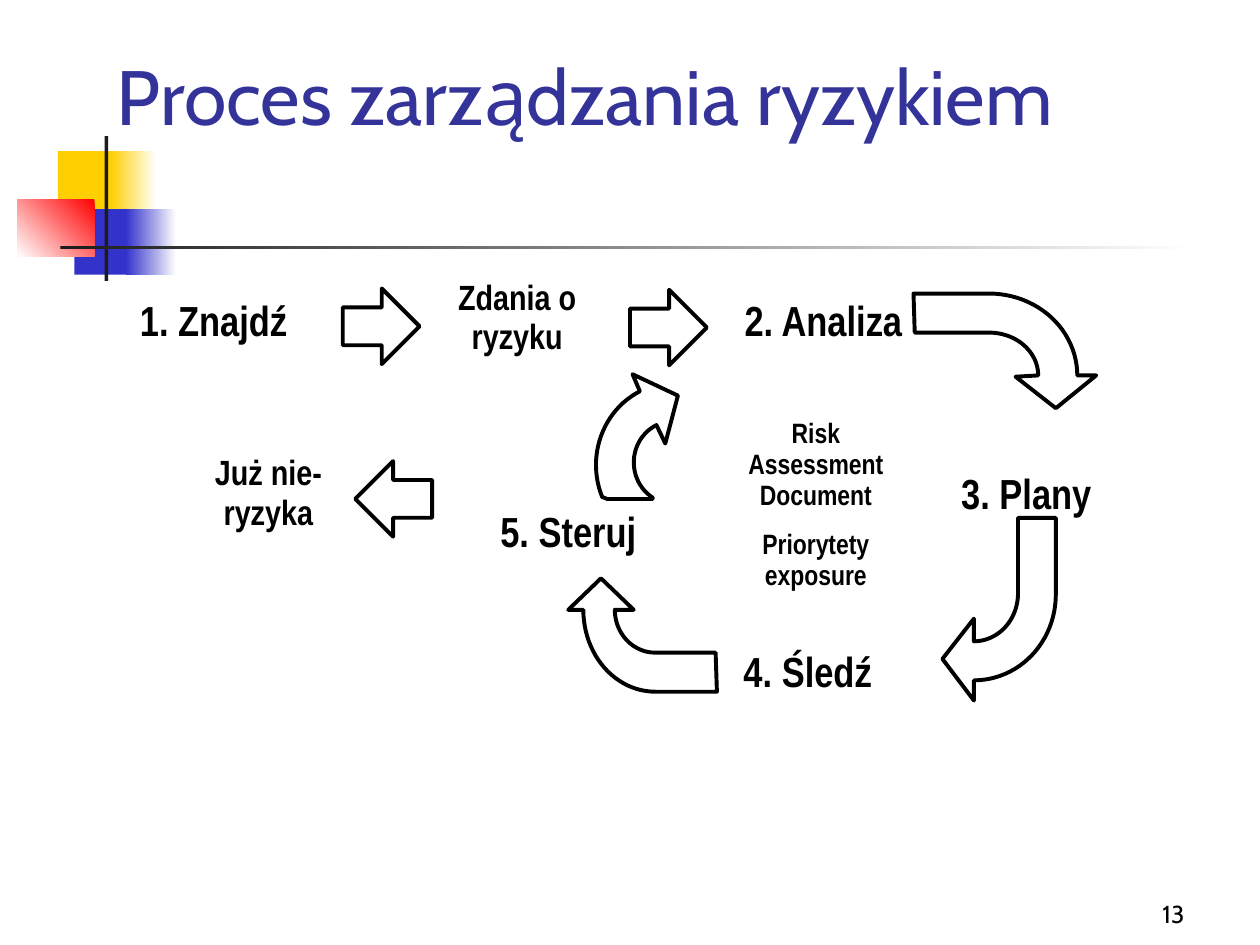
import math
from dataclasses import dataclass
from typing import NamedTuple

import pptx
import pptx.dml.color
import pptx.enum.shapes
import pptx.enum.text
import pptx.oxml
import pptx.oxml.ns
import pptx.util

PX = 9144  # EMU in one px, 100 px to the inch
COLORS = {
    "ink": "000000",
    "title": "333399",
    "yellow": "FFCF01",
    "blue": "3333CC",
    "red": "FF0000",
    "bar": "1C1C1C",
    "paper": "FFFFFF",
}
SHAPES = pptx.enum.shapes.MSO_SHAPE
ALIGN = pptx.enum.text.PP_ALIGN
ANCHOR = pptx.enum.text.MSO_ANCHOR


class Frame(NamedTuple):
    left: int
    top: int
    width: int
    height: int


class Arc(NamedTuple):
    """Part of an ellipse; angles in degrees, clockwise from the right."""
    x: int
    y: int
    radius_x: int
    radius_y: int
    start: int
    end: int


@dataclass
class Ornament:
    frame: Frame
    color: str
    fade_angle: int | None = None  # direction from the color to white


@dataclass
class BlockArrow:
    frame: Frame
    kind: pptx.enum.shapes.MSO_SHAPE


@dataclass
class Label:
    frame: Frame
    paragraphs: list[str]
    size: int


ORNAMENTS = [
    Ornament(Frame(46, 120, 48, 52), "yellow"),
    Ornament(Frame(88, 120, 36, 52), "yellow", 0),
    Ornament(Frame(59, 166, 46, 52), "blue"),
    Ornament(Frame(100, 166, 40, 52), "blue", 0),
    Ornament(Frame(14, 158, 61, 46), "red", 225),
    Ornament(Frame(83, 108, 3, 115), "bar"),
    Ornament(Frame(48, 195, 900, 3), "bar", 0),
]

# Outlines mix corner points with arcs
CURVED_ARROWS = {
    "plans to tracking": [
        (838, 411), Arc(773, 472, 65, 68, 0, 90),
        (773, 556), (748, 523), (773, 491),
        Arc(773, 471, 35, 38, 90, 0), (808, 411),
    ],
    "tracking to control": [
        (569, 549), Arc(520, 484, 57, 65, 90, 180),
        (451, 484), (477, 459), (503, 484),
        Arc(520, 484, 32, 34, 180, 90), (568, 518),
    ],
    "control to analysis": [
        Arc(535, 369, 62, 65, 157, 244),
        (502, 297), (538, 314), (528, 352),
        Arc(535, 367, 32, 33, 244, 122), (518, 396), (482, 396),
    ],
    "analysis to plans": [
        (725, 233), Arc(785, 298, 70, 65, -90, 0),
        (870, 298), (838, 324), (806, 299),
        Arc(785, 298, 39, 34, 0, -90), (726, 264),
    ],
}

BLOCK_ARROWS = [
    BlockArrow(Frame(272, 229, 61, 60), SHAPES.RIGHT_ARROW),
    BlockArrow(Frame(500, 230, 61, 60), SHAPES.RIGHT_ARROW),
    BlockArrow(Frame(282, 366, 61, 60), SHAPES.LEFT_ARROW),
]

LABELS = [
    Label(Frame(154, 356, 118, 72), ["Już nie-ryzyka"], 20),
    Label(Frame(572, 327, 151, 149),
          ["Risk Assessment Document", "Priorytety exposure"], 16),
    Label(Frame(739, 370, 151, 47), ["3. Plany"], 24),
    Label(Frame(375, 400, 152, 47), ["5. Steruj"], 24),
    Label(Frame(572, 232, 163, 47), ["2. Analiza"], 24),
    Label(Frame(94, 232, 151, 47), ["1. Znajdź"], 24),
    Label(Frame(315, 217, 191, 72), ["Zdania o ryzyku"], 20),
    Label(Frame(569, 511, 144, 47), ["4. Śledź"], 24),
]


def rgb(name: str) -> pptx.dml.color.RGBColor:
    return pptx.dml.color.RGBColor.from_string(COLORS[name])


def emu(frame: Frame) -> list[int]:
    return [length * PX for length in frame]


def draw_ornament(slide, ornament: Ornament) -> None:
    shape = slide.shapes.add_shape(SHAPES.RECTANGLE, *emu(ornament.frame))
    shape.shadow.inherit = False
    shape.line.fill.background()
    if ornament.fade_angle is None:
        shape.fill.solid()
        shape.fill.fore_color.rgb = rgb(ornament.color)
        return
    shape.fill.gradient()
    shape.fill.gradient_angle = ornament.fade_angle
    for stop, name in zip(shape.fill.gradient_stops, (ornament.color, "paper")):
        stop.color.rgb = rgb(name)


def outline_arrow(shape) -> None:
    """Leave the arrow hollow, with a black line and round corners."""
    shape.shadow.inherit = False
    shape.fill.background()
    shape.line.color.rgb = rgb("ink")
    shape.line.width = pptx.util.Pt(2.25)
    line = shape.element.spPr.find(pptx.oxml.ns.qn("a:ln"))
    line.append(pptx.oxml.parse_xml(f"<a:round {pptx.oxml.ns.nsdecls('a')}/>"))


def arc_points(arc: Arc, steps: int = 24) -> list[tuple[float, float]]:
    angles = [math.radians(arc.start + (arc.end - arc.start) * step / steps)
              for step in range(steps + 1)]
    return [(arc.x + arc.radius_x * math.cos(angle),
             arc.y + arc.radius_y * math.sin(angle)) for angle in angles]


def draw_curved_arrow(slide, outline: list) -> None:
    points = []
    for part in outline:
        points += arc_points(part) if isinstance(part, Arc) else [part]
    points = [(round(x * PX), round(y * PX)) for x, y in points]
    builder = slide.shapes.build_freeform(*points[0], scale=1.0)
    builder.add_line_segments(points[1:], close=True)
    outline_arrow(builder.convert_to_shape())


def add_text(slide, frame: Frame, paragraphs: list[str], *, size: int,
             font: str = "Arial Narrow", color: str = "ink", bold: bool = False,
             align=ALIGN.LEFT, anchor=ANCHOR.TOP, spacing: float = 1.0) -> None:
    box = slide.shapes.add_textbox(*emu(frame)).text_frame
    box.word_wrap = True
    box.vertical_anchor = anchor
    for index, text in enumerate(paragraphs):
        para = box.add_paragraph() if index else box.paragraphs[0]
        para.alignment = align
        para.line_spacing = spacing
        if index:
            para.space_before = pptx.util.Pt(10)
        span = para.add_run()
        span.text = text
        span.font.name = font
        span.font.size = pptx.util.Pt(size)
        span.font.bold = bold
        span.font.color.rgb = rgb(color)


def main() -> None:
    deck = pptx.Presentation()
    deck.slide_width, deck.slide_height = 1000 * PX, 750 * PX
    slide = deck.slides.add_slide(deck.slide_layouts[6])
    for ornament in ORNAMENTS:
        draw_ornament(slide, ornament)
    add_text(slide, Frame(742, 705, 208, 37), ["13"], size=14, font="Cabin",
             align=ALIGN.RIGHT, anchor=ANCHOR.BOTTOM)
    for outline in CURVED_ARROWS.values():
        draw_curved_arrow(slide, outline)
    for arrow in BLOCK_ARROWS:
        outline_arrow(slide.shapes.add_shape(arrow.kind, *emu(arrow.frame)))
    for label in LABELS:
        add_text(slide, label.frame, label.paragraphs, size=label.size,
                 bold=True, align=ALIGN.CENTER, spacing=0.93)
    add_text(slide, Frame(83, 33, 858, 84), ["Proces zarządzania ryzykiem"],
             size=44, font="Cabin", color="title", anchor=ANCHOR.BOTTOM)
    deck.save("out.pptx")


if __name__ == "__main__":
    main()
